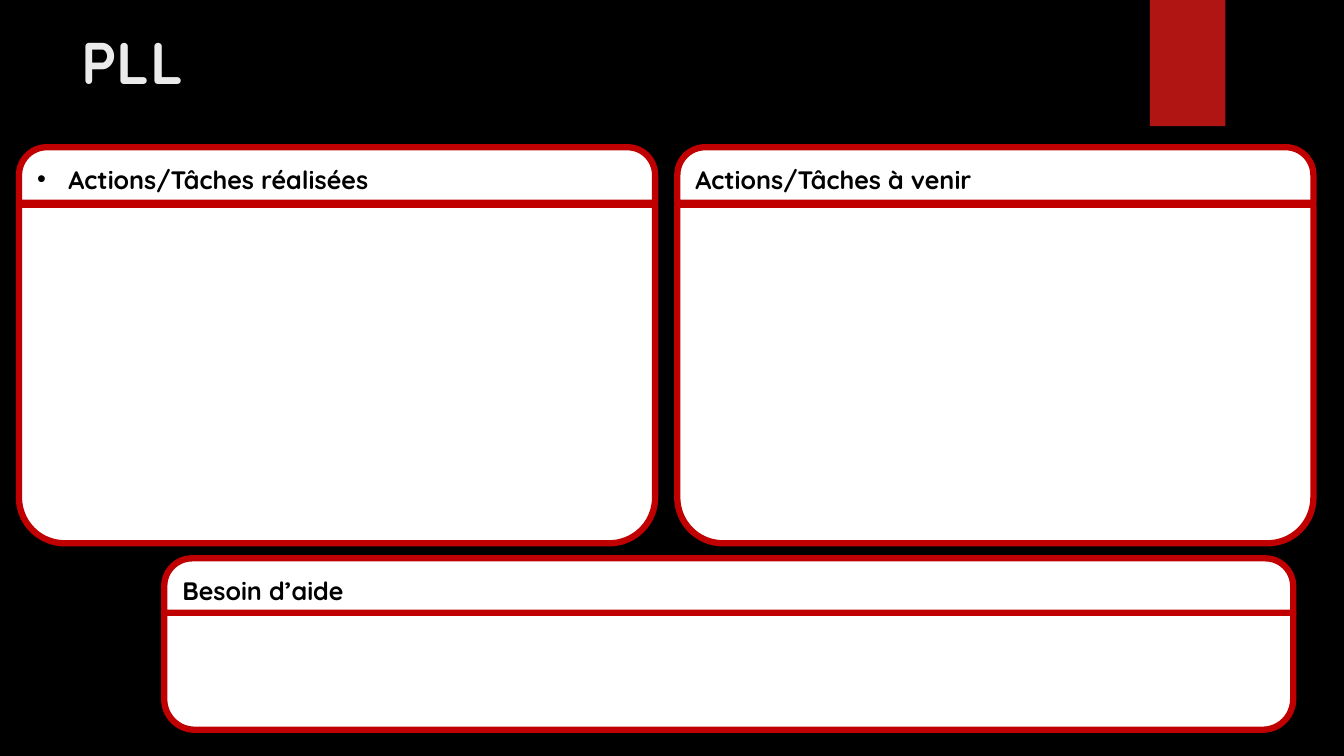
"""Build the PLL status slide: done, upcoming and help-needed cards."""
from lxml import etree
from pptx import Presentation
from pptx.dml.color import RGBColor
from pptx.enum.shapes import MSO_SHAPE
from pptx.enum.text import MSO_ANCHOR, PP_ALIGN
from pptx.oxml.ns import qn
from pptx.util import Cm, Pt

ROUND_TOP = MSO_SHAPE.ROUND_2_SAME_RECTANGLE
RECTANGLE = MSO_SHAPE.RECTANGLE
MIDDLE, TOP = MSO_ANCHOR.MIDDLE, MSO_ANCHOR.TOP
LEFT = PP_ALIGN.LEFT

HEADER_HEIGHT = 1.4
CARDS = [
    ("Actions/Tâches réalisées", 0.48, 3.71, 16.03, 5.16, 8.53, 0.135, True),
    ("Actions/Tâches à venir", 17.07, 3.71, 16.03, 5.16, 8.53, 0.135, False),
    ("Besoin d’aide", 4.14, 14.07, 28.45, 15.44, 2.95, 0.261, False),
]


def paint(color_format, color):
    color_format.rgb = RGBColor.from_string(color)


def write(frame, text, size, color, anchor):
    frame.text = text
    frame.word_wrap = True
    frame.vertical_anchor = anchor
    paragraph = frame.paragraphs[0]
    paragraph.alignment = LEFT
    font = paragraph.runs[0].font
    font.name, font.size, font.bold = "Quicksand", Pt(size), True
    paint(font.color, color)


prs = Presentation()
prs.slide_width, prs.slide_height = Cm(33.87), Cm(19.05)
slide = prs.slides.add_slide(prs.slide_layouts[5])
slide.background.fill.solid()
paint(slide.background.fill.fore_color, "000000")

ribbon = slide.shapes.add_shape(RECTANGLE, Cm(28.98), Cm(0), Cm(1.9), Cm(3.18))
ribbon.shadow.inherit = False
ribbon.fill.solid()
paint(ribbon.fill.fore_color, "B01513")
ribbon.line.fill.background()

title = slide.shapes.title
title.left, title.top, title.width, title.height = Cm(1.8), Cm(0.53), Cm(26.14), Cm(3.89)
write(title.text_frame, "PLL", 42, "EBEBEB", TOP)

for heading, left, top, width, body_top, body_height, rounding, bulleted in CARDS:
    header = slide.shapes.add_shape(
        ROUND_TOP, Cm(left), Cm(top), Cm(width), Cm(HEADER_HEIGHT))
    header.adjustments[0], header.adjustments[1] = 0.5, 0
    body = slide.shapes.add_shape(
        ROUND_TOP, Cm(left), Cm(body_top), Cm(width), Cm(body_height))
    body.adjustments[0], body.adjustments[1] = 0, rounding
    for panel in (header, body):
        panel.shadow.inherit = False
        panel.fill.solid()
        paint(panel.fill.fore_color, "FFFFFF")
        paint(panel.line.color, "C00000")
        panel.line.width = Pt(4.5)

    write(header.text_frame, heading, 18, "000000", MIDDLE)
    if bulleted:
        properties = header.text_frame.paragraphs[0]._p.get_or_add_pPr()
        indent = Cm(0.79)
        properties.set("marL", str(indent))
        properties.set("indent", str(-indent))
        etree.SubElement(properties, qn("a:buFont")).set("typeface", "Arial")
        etree.SubElement(properties, qn("a:buChar")).set("char", "•")

prs.save("out.pptx")
